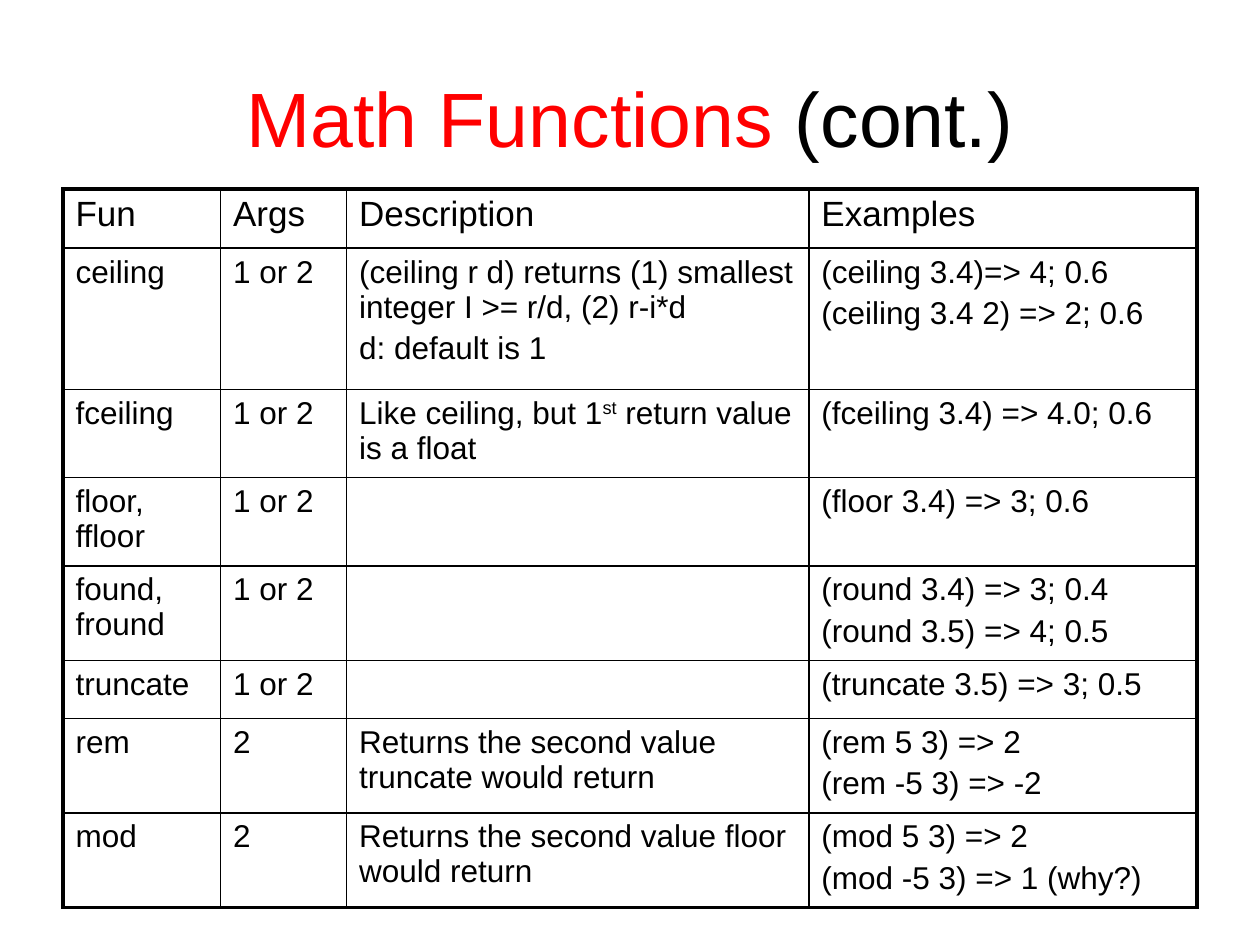
from lxml.etree import SubElement
from pptx import Presentation
from pptx.dml.color import RGBColor
from pptx.enum.text import MSO_ANCHOR, PP_ALIGN
from pptx.oxml.ns import qn
from pptx.util import Inches, Pt

COLORS = {"text": "000000", "accent": "FF0000", "border": "000000"}
THIN, THICK = 1, 2.25
COLUMN_WIDTHS = [1.25, 1, 3.67, 3.08]
ROW_HEIGHTS = [0.47, 1.12, 0.47, 0.46, 0.47, 0.46, 0.47, 0.47]

# Lines break at "\n"; text between carets is superscript
FUNCTIONS = [
    ("Fun", "Args", "Description", "Examples"),
    ("ceiling", "1 or 2",
     "(ceiling r d) returns (1) smallest integer I >= r/d, (2) r-i*d\nd: default is 1",
     "(ceiling 3.4)=> 4; 0.6\n(ceiling 3.4 2) => 2; 0.6"),
    ("fceiling", "1 or 2", "Like ceiling, but 1^st^ return value is a float",
     "(fceiling 3.4) => 4.0; 0.6"),
    ("floor, ffloor", "1 or 2", "", "(floor 3.4) => 3; 0.6"),
    ("found, fround", "1 or 2", "", "(round 3.4) => 3; 0.4\n(round 3.5) => 4; 0.5"),
    ("truncate", "1 or 2", "", "(truncate 3.5) => 3; 0.5"),
    ("rem", "2", "Returns the second value truncate would return",
     "(rem 5 3) => 2\n(rem -5 3) => -2"),
    ("mod", "2", "Returns the second value floor would return",
     "(mod 5 3) => 2\n(mod -5 3) => 1 (why?)"),
]


def add_run(paragraph, text, size, color="text"):
    """Append a formatted run to a paragraph and return it."""
    run = paragraph.add_run()
    run.text = text
    for attribute, value in {"name": "Arial", "size": Pt(size)}.items():
        setattr(run.font, attribute, value)
    run.font.color.rgb = RGBColor.from_string(COLORS[color])
    return run


def set_borders(cell, widths):
    """Draw the cell's edges, given their widths in points by tag."""
    properties = cell._tc.get_or_add_tcPr()
    for tag, width in widths.items():
        line = SubElement(properties, qn(f"a:{tag}"), w=str(Pt(width)))
        fill = SubElement(line, qn("a:solidFill"))
        SubElement(fill, qn("a:srgbClr"), val=COLORS["border"])


prs = Presentation()
prs.slide_width, prs.slide_height = Inches(10), Inches(7.5)
slide = prs.slides.add_slide(prs.slide_layouts[6])

title = slide.shapes.add_textbox(Inches(0.5), Inches(0.3), Inches(9), Inches(1.25)).text_frame
for attribute, value in {"word_wrap": True, "vertical_anchor": MSO_ANCHOR.MIDDLE}.items():
    setattr(title, attribute, value)
heading = title.paragraphs[0]
heading.alignment = PP_ALIGN.CENTER
add_run(heading, "Math Functions ", 44, "accent")
add_run(heading, "(cont.)", 44)

table = slide.shapes.add_table(len(FUNCTIONS), len(COLUMN_WIDTHS), Inches(0.5), Inches(1.5),
                               Inches(9), Inches(5.73)).table
table.first_row = table.horz_banding = False
for column, width in zip(table.columns, COLUMN_WIDTHS):
    column.width = Inches(width)
for row, height in zip(table.rows, ROW_HEIGHTS):
    row.height = Inches(height)

last_row, last_column = len(FUNCTIONS) - 1, len(COLUMN_WIDTHS) - 1
for r, entry in enumerate(FUNCTIONS):
    size = 20 if r == 0 else 18
    for c, content in enumerate(entry):
        cell = table.cell(r, c)
        set_borders(cell, {
            "lnL": THICK if c == 0 else THIN,
            "lnR": THICK if c == last_column else THIN,
            "lnT": THICK if r == 0 else THIN,
            "lnB": THICK if r == last_row else THIN,
        })
        cell.fill.background()
        for i, text in enumerate(content.split("\n") if content else []):
            frame = cell.text_frame
            paragraph = frame.add_paragraph() if i else frame.paragraphs[0]
            paragraph.space_before = Pt(size * 0.2)
            for part, piece in enumerate(text.split("^")):
                run = add_run(paragraph, piece, size)
                if part % 2:
                    run.font._element.set("baseline", "30000")

prs.save("out.pptx")
